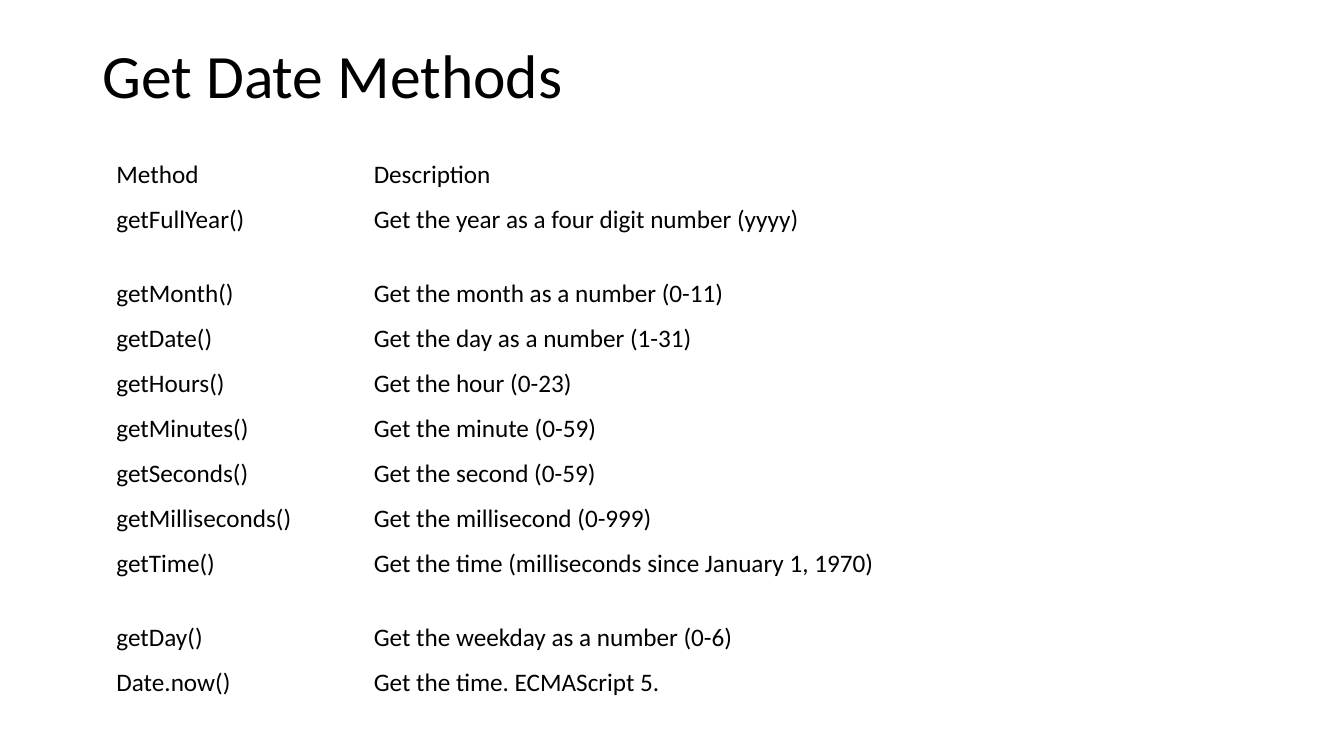
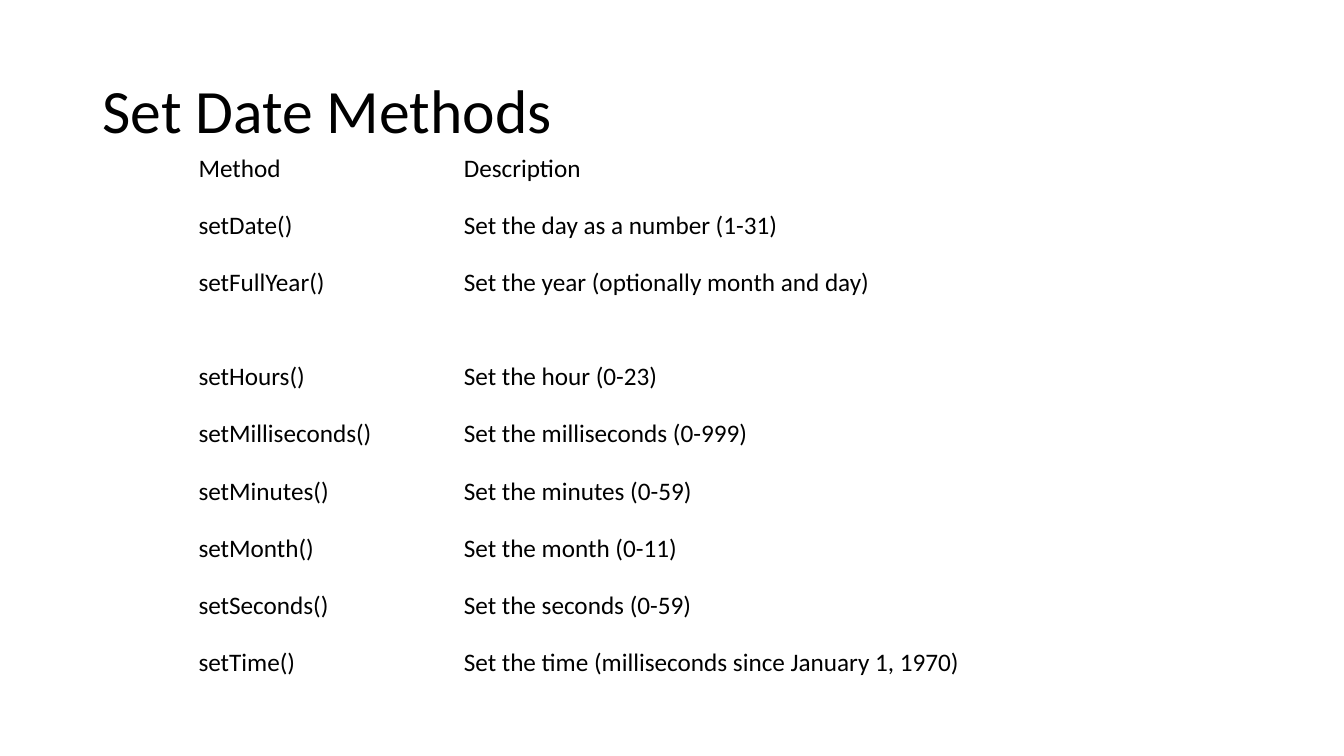
import pptx
import pptx.dml.color
import pptx.enum.text
import pptx.util

Pt = pptx.util.Pt
ANCHOR = pptx.enum.text.MSO_ANCHOR

FONT = "Calibri"
BLACK = "000000"
TITLE_BOX = (66, 28.8, 828, 104.4)
TITLE_ONLY_LAYOUT = 5

GET_METHODS = [
    ("Method", "Description"),
    ("getFullYear()", "Get the year as a four digit number (yyyy)"),
    ("getMonth()", "Get the month as a number (0-11)"),
    ("getDate()", "Get the day as a number (1-31)"),
    ("getHours()", "Get the hour (0-23)"),
    ("getMinutes()", "Get the minute (0-59)"),
    ("getSeconds()", "Get the second (0-59)"),
    ("getMilliseconds()", "Get the millisecond (0-999)"),
    ("getTime()", "Get the time (milliseconds since January 1, 1970)"),
    ("getDay()", "Get the weekday as a number (0-6)"),
    ("Date.now()", "Get the time. ECMAScript 5."),
]

SET_METHODS = [
    ("Method", "Description"),
    ("setDate()", "Set the day as a number (1-31)"),
    ("setFullYear()", "Set the year (optionally month and day)"),
    ("setHours()", "Set the hour (0-23)"),
    ("setMilliseconds()", "Set the milliseconds (0-999)"),
    ("setMinutes()", "Set the minutes (0-59)"),
    ("setMonth()", "Set the month (0-11)"),
    ("setSeconds()", "Set the seconds (0-59)"),
    ("setTime()", "Set the time (milliseconds since January 1, 1970)"),
]


def color(hex_string):
    return pptx.dml.color.RGBColor.from_string(hex_string)


def add_run(paragraph, text, size):
    run = paragraph.add_run()
    run.text = text
    run.font.name = FONT
    run.font.size = Pt(size)
    run.font.color.rgb = color(BLACK)


def place_title(slide, text, box, anchor):
    title = slide.shapes.title
    title.left, title.top, title.width, title.height = map(Pt, box)
    frame = title.text_frame
    frame.word_wrap = True
    frame.auto_size = pptx.enum.text.MSO_AUTO_SIZE.NONE
    frame.vertical_anchor = anchor
    paragraph = frame.paragraphs[0]
    paragraph.alignment = pptx.enum.text.PP_ALIGN.LEFT
    paragraph.line_spacing = 0.9
    add_run(paragraph, text, 44)


def place_method_table(slide, methods, position, column_widths,
                       row_height, tall_height, tall_rows, inset):
    """Place an unfilled table whose first column has a double left inset."""
    heights = [tall_height if index in tall_rows else row_height
               for index in range(len(methods))]
    box = (*position, sum(column_widths), sum(heights))
    table = slide.shapes.add_table(
        len(methods), len(column_widths), *map(Pt, box)).table
    table.first_row = False
    table.horz_banding = False
    for column, width in zip(table.columns, column_widths):
        column.width = Pt(width)
    for row, height, texts in zip(table.rows, heights, methods):
        row.height = Pt(height)
        for index, (cell, text) in enumerate(zip(row.cells, texts)):
            cell.fill.background()
            cell.margin_left = Pt(inset * 2 if index == 0 else inset)
            cell.margin_top = cell.margin_right = cell.margin_bottom = Pt(inset)
            add_run(cell.text_frame.paragraphs[0], text, 18)


def add_method_slide(presentation, title, anchor, methods, **table_layout):
    layout = presentation.slide_layouts[TITLE_ONLY_LAYOUT]
    slide = presentation.slides.add_slide(layout)
    place_title(slide, title, TITLE_BOX, anchor)
    place_method_table(slide, methods, **table_layout)


def main():
    presentation = pptx.Presentation()
    presentation.slide_width = Pt(960)
    presentation.slide_height = Pt(540)
    add_method_slide(
        presentation, "Get Date Methods", ANCHOR.TOP, GET_METHODS,
        position=(73.6, 109.3), column_widths=(188.6, 444.2),
        row_height=32.1, tall_height=52.9, tall_rows=(1, 8), inset=4.8)
    add_method_slide(
        presentation, "Set Date Methods", ANCHOR.MIDDLE, SET_METHODS,
        position=(130.4, 103.8), column_widths=(195.2, 444.2),
        row_height=40.9, tall_height=67.1, tall_rows=(2, 8), inset=5.7)
    presentation.save("out.pptx")


if __name__ == "__main__":
    main()
